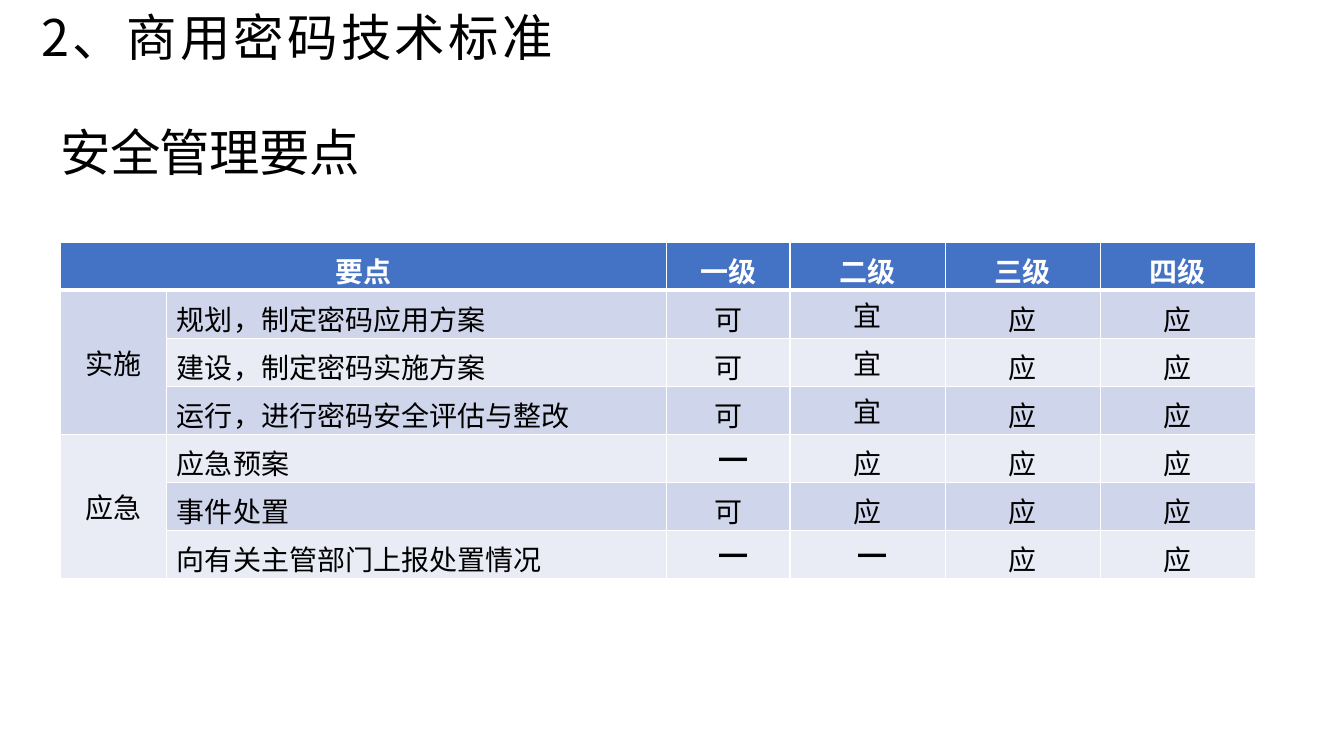
from dataclasses import dataclass

from lxml import etree
from pptx import Presentation
from pptx import util as u
from pptx.dml.color import RGBColor
from pptx.enum import text
from pptx.oxml import ns


@dataclass(frozen=True)
class Theme:
    font: str = "Noto Sans CJK SC"
    head: str = "4472C4"
    bands: tuple = ("E9EBF5", "CFD5EA")
    white: str = "FFFFFF"
    black: str = "000000"
    big: int = 36
    small: int = 20


THEME = Theme()
LEFT, MID = text.PP_ALIGN.LEFT, text.PP_ALIGN.CENTER
TOP, CENTRE, BASE = (text.MSO_ANCHOR.TOP, text.MSO_ANCHOR.MIDDLE,
                     text.MSO_ANCHOR.BOTTOM)
WIDTHS = [2.68, 12.6, 3.12, 3.91, 3.91, 3.91]
ROW = 1.21
ROWS = [
    ["要点", "", "一级", "二级", "三级", "四级"],
    ["实施", "规划，制定密码应用方案", "可", "宜", "应", "应"],
    ["", "建设，制定密码实施方案", "可", "宜", "应", "应"],
    ["", "运行，进行密码安全评估与整改", "可", "宜", "应", "应"],
    ["应急", "应急预案", "━", "应", "应", "应"],
    ["", "事件处置", "可", "应", "应", "应"],
    ["", "向有关主管部门上报处置情况", "━", "━", "应", "应"],
]
MERGES = [((0, 0), (0, 1)), ((1, 0), (3, 0)), ((4, 0), (6, 0))]


def apply(item, form):
    for name, value in form.items():
        setattr(item, name, value)


def write(para, words, size, color, bold=False, gap=0, align=LEFT):
    """Fill a paragraph with one run; gap is letter spacing in points."""
    apply(para, {"alignment": align, "space_before": u.Pt(0)})
    run = para.add_run()
    run.text = words
    apply(run.font, {"name": THEME.font, "size": u.Pt(size), "bold": bold})
    run.font.color.rgb = RGBColor.from_string(color)
    props = run.font._element
    props.set("spc", str(round(gap * 100)))
    east = etree.SubElement(props, ns.qn("a:ea"))
    east.set("typeface", THEME.font)


def place(holder, words, left, top, width, height, gap):
    """Move a placeholder and write its heading without a bullet."""
    apply(holder, {"left": u.Cm(left), "top": u.Cm(top),
                   "width": u.Cm(width), "height": u.Cm(height)})
    frame = holder.text_frame
    apply(frame, {"margin_left": 0, "margin_right": 0, "margin_top": 0,
                  "margin_bottom": 0, "word_wrap": True,
                  "vertical_anchor": TOP,
                  "auto_size": text.MSO_AUTO_SIZE.NONE})
    para = frame.paragraphs[0]
    write(para, words, THEME.big, THEME.black, gap=gap)
    props = para._p.get_or_add_pPr()
    apply_xml = {"marL": "0", "indent": "0"}
    for name, value in apply_xml.items():
        props.set(name, value)
    etree.SubElement(props, ns.qn("a:buNone"))


def edge(cell, row):
    """Draw white borders, thick between the header and the body."""
    thick = {"lnB": 3} if row == 0 else {"lnT": 3} if row == 1 else {}
    props = cell._tc.get_or_add_tcPr()
    for spot, side in enumerate(("lnL", "lnR", "lnT", "lnB")):
        line = etree.Element(ns.qn("a:" + side),
                             w=str(u.Pt(thick.get(side, 1))))
        fill = etree.SubElement(line, ns.qn("a:solidFill"))
        etree.SubElement(fill, ns.qn("a:srgbClr"), val=THEME.white)
        props.insert(spot, line)


def style(cell, row, col, words):
    head = row == 0
    raised = words in ("宜", "━")
    listed = col == 1 and not head
    apply(cell, {
        "margin_left": u.Cm(0.27 if listed or words == "━" else 0),
        "margin_right": 0,
        "margin_top": 0,
        "margin_bottom": u.Cm(0.1 if raised else 0),
        "vertical_anchor": CENTRE if col == 0 and not head else BASE,
    })
    cell.fill.solid()
    shade = THEME.head if head else THEME.bands[row % 2]
    cell.fill.fore_color.rgb = RGBColor.from_string(shade)
    edge(cell, row)
    if words:
        write(cell.text_frame.paragraphs[0], words, THEME.small,
              THEME.white if head else THEME.black, bold=head,
              align=LEFT if listed else MID)


def add_grid(slide, left, top):
    grid = slide.shapes.add_table(
        len(ROWS), len(WIDTHS), u.Cm(left), u.Cm(top),
        u.Cm(sum(WIDTHS)), u.Cm(ROW * len(ROWS))).table
    for column, width in zip(grid.columns, WIDTHS):
        column.width = u.Cm(width)
    for start, end in MERGES:
        grid.cell(*start).merge(grid.cell(*end))
    for row, line in enumerate(ROWS):
        grid.rows[row].height = u.Cm(ROW)
        for col, words in enumerate(line):
            style(grid.cell(row, col), row, col, words)


def main():
    deck = Presentation()
    apply(deck, {"slide_width": u.Cm(33.87), "slide_height": u.Cm(19.05)})
    slide = deck.slides.add_slide(deck.slide_layouts[1])
    title, body = slide.placeholders
    place(title, "2、商用密码技术标准", 1.04, 0.15, 32, 2.2, gap=2.4)
    place(body, "安全管理要点", 1.52, 3.05, 8, 1.9, gap=-0.4)
    add_grid(slide, 1.51, 6.1)
    deck.save("out.pptx")


if __name__ == "__main__":
    main()
